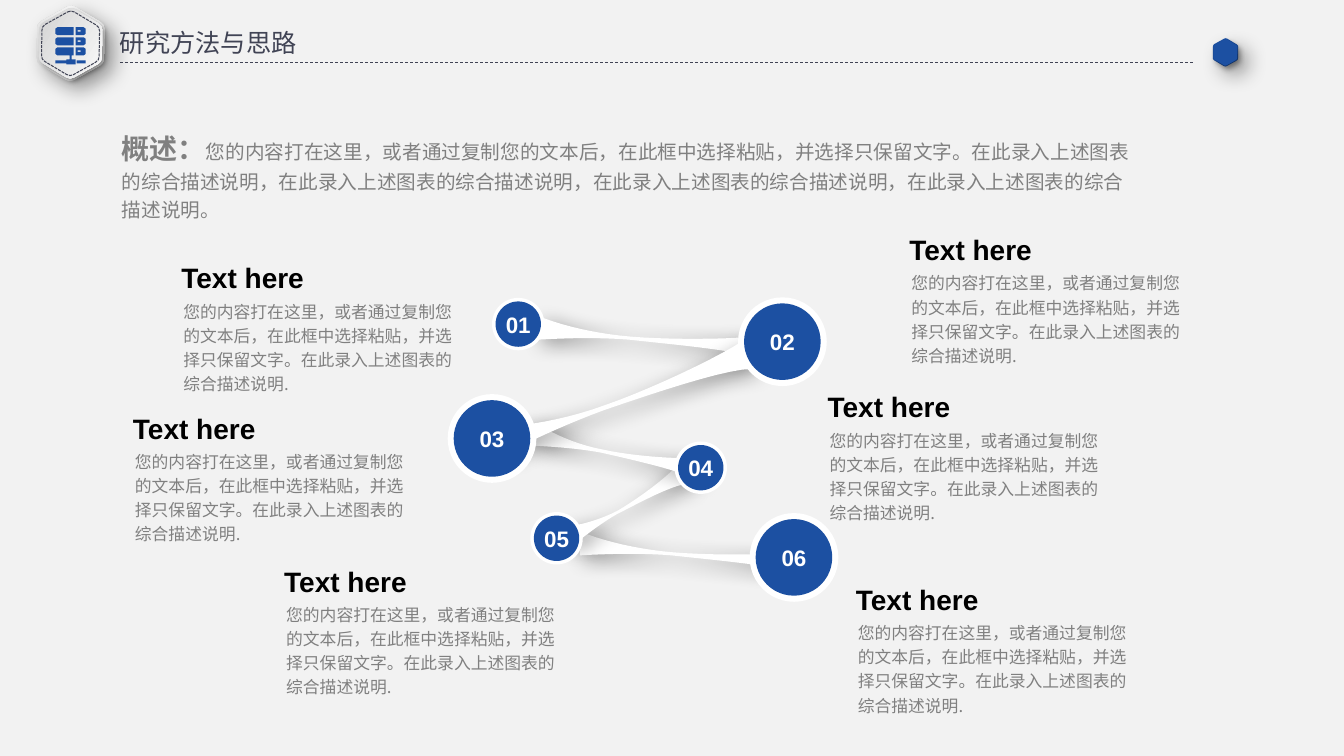
from math import cos, radians, sin

from lxml.etree import SubElement
from pptx import Presentation
from pptx.dml.color import RGBColor
from pptx.enum.dml import MSO_LINE
from pptx.enum.shapes import MSO_CONNECTOR, MSO_SHAPE
from pptx.enum.text import MSO_ANCHOR, MSO_AUTO_SIZE, PP_ALIGN
from pptx.oxml.ns import qn
from pptx.util import Inches, Pt


class Theme:
    background = RGBColor(0xF2, 0xF2, 0xF2)
    blue = RGBColor(0x1C, 0x50, 0xA2)
    white = RGBColor(0xFF, 0xFF, 0xFF)
    black = RGBColor(0, 0, 0)
    gray = RGBColor(0x80, 0x80, 0x80)
    slate = RGBColor(0x41, 0x44, 0x55)
    metal = RGBColor(0xD3, 0xD3, 0xD3), RGBColor(0xF9, 0xF9, 0xF9)
    latin, chinese = "Arial", "Noto Sans CJK SC"
    title, lead, heading, number, overview, body = (Pt(n) for n in (18, 20, 20, 16, 14, 12))


CELL = Inches(0.01)  # the slide is a grid of 1333 columns and 750 rows


def add_outline(contours, fill=None, shadow=None):
    """Draw closed contours given in grid cells; shadow is (blur, distance) in points."""
    builder = None
    for contour in contours:
        points = [(round(x * CELL), round(y * CELL)) for x, y in contour]
        if builder is None:
            builder = slide.shapes.build_freeform(*points[0])
        else:
            builder.move_to(*points[0])
        builder.add_line_segments(points[1:], close=True)
    shape = builder.convert_to_shape()
    shape.line.fill.background()
    if fill is None:
        shape.fill.background()
    else:
        shape.fill.solid()
        shape.fill.fore_color.rgb = fill
    shape.shadow.inherit = False
    if shadow:
        blur, distance = shadow
        effects = shape._element.spPr.find(qn("a:effectLst"))
        outer = SubElement(effects, qn("a:outerShdw"), blurRad=str(Pt(blur)), dist=str(Pt(distance)),
                           dir="2700000", algn="tl", rotWithShape="0")
        color = SubElement(outer, qn("a:srgbClr"), val="000000")
        SubElement(color, qn("a:alpha"), val="40000")
    return shape


def write_text(shape, runs, face, margins=(10, 5), spacing=None, align=PP_ALIGN.LEFT, anchor=MSO_ANCHOR.TOP):
    """Fill one paragraph with runs of (text, size, colour, bold)."""
    frame = shape.text_frame
    side, edge = (round(margin * CELL) for margin in margins)
    settings = {"word_wrap": True, "auto_size": MSO_AUTO_SIZE.NONE, "vertical_anchor": anchor,
                "margin_left": side, "margin_right": side, "margin_top": edge, "margin_bottom": edge}
    for name, value in settings.items():
        setattr(frame, name, value)
    paragraph = frame.paragraphs[0]
    paragraph.alignment = align
    if spacing:
        paragraph.line_spacing = spacing
    for text, size, color, bold in runs:
        run = paragraph.add_run()
        run.text = text
        for name, value in {"name": face, "size": size, "bold": bold}.items():
            setattr(run.font, name, value)
        run.font.color.rgb = color
        SubElement(run._r.get_or_add_rPr(), qn("a:ea"), typeface=face)


presentation = Presentation()
presentation.slide_width = Inches(13.33)
presentation.slide_height = Inches(7.5)
slide = presentation.slides.add_slide(presentation.slide_layouts[5])
slide.background.fill.solid()
slide.background.fill.fore_color.rgb = Theme.background

# Header
title = slide.shapes.title
title.left, title.top, title.width, title.height = (n * CELL for n in (112, 23, 205, 38))
write_text(title, [("研究方法与思路", Theme.title, Theme.slate, False)], Theme.chinese, margins=(7, 4))

rule = slide.shapes.add_connector(MSO_CONNECTOR.STRAIGHT, 119 * CELL, 62 * CELL, 1183 * CELL, 62 * CELL)
rule.line.color.rgb = Theme.slate
rule.line.width = Pt(0.5)
rule.line.dash_style = MSO_LINE.DASH
SubElement(rule._element.spPr, qn("a:effectLst"))

# Rounded hexagons: centre, radius, fill, gradient angle, shadow
BADGE, MARK = (70, 43), (1215.5, 52)
hexagons = [
    (BADGE, 38.5, Theme.metal[0], 59, (15, 9)),
    (BADGE, 36, Theme.metal[0], 329, (4, 3)),
    (BADGE, 33, None, None, None),
    (MARK, 14.5, Theme.blue, None, (15, 9)),
    (MARK, 13.5, Theme.blue, None, (4, 3)),
]
ROUNDING = 0.12
for (center_x, center_y), radius, fill, gradient_angle, shadow in hexagons:
    angles = [radians(0.9 - 90 + 60 * k) for k in range(6)]
    corners = [(center_x + radius * cos(a), center_y + radius * sin(a)) for a in angles]
    outline = []
    for k, corner in enumerate(corners):
        start, end = ([c + ROUNDING * (n - c) for c, n in zip(corner, neighbour)]
                      for neighbour in (corners[k - 1], corners[(k + 1) % 6]))
        middle = [(s + 2 * c + e) / 4 for s, c, e in zip(start, corner, end)]
        outline += [start, middle, end]
    hexagon = add_outline([outline], fill, shadow)
    if gradient_angle is not None:
        hexagon.fill.gradient()
        hexagon.fill.gradient_angle = gradient_angle
        for stop, color in zip(hexagon.fill.gradient_stops, Theme.metal):
            stop.color.rgb = color
    elif fill is None:
        hexagon.line.color.rgb = Theme.slate
        hexagon.line.width = Pt(0.75)
        hexagon.line.dash_style = MSO_LINE.SQUARE_DOT

# Server icon
server = []
for y in (27, 37, 47):
    server += [
        [(57, y), (73, y), (73, y + 8), (57, y + 8), (55, y + 6.5), (55, y + 1.5)],
        [(75, y), (83, y), (85, y + 1.5), (85, y + 6.5), (83, y + 8), (75, y + 8)],
        [(77, y + 3), (80, y + 3), (80, y + 4.5), (77, y + 4.5)],
    ]
server += [
    [(69, 55), (71, 55), (71, 59), (75, 59), (75, 64), (66, 64), (66, 63), (55, 63),
     (55, 60), (66, 60), (66, 59), (69, 59)],
    [(76, 60), (85, 60), (85, 63), (76, 63)],
]
add_outline(server, Theme.blue)

# Overview
overview = slide.shapes.add_textbox(*(n * CELL for n in (111, 119, 1023, 107)))
write_text(overview, [
    ("概述：", Theme.lead, Theme.gray, True),
    ("您的内容打在这里，或者通过复制您的文本后，在此框中选择粘贴，并选择只保留文字。"
     + "，".join(["在此录入上述图表的综合描述说明"] * 4) + "。", Theme.overview, Theme.gray, False),
], Theme.chinese, spacing=1.2)

# Ribbons: two edges, each of two joined cubic curves
level_ribbon = [
    [(577, 528), (600, 537), (632, 545), (668, 548), (705, 551), (769, 551), (794, 547)],
    [(792, 569), (771, 561), (702, 555), (666, 551), (630, 548), (594, 550), (575, 551)],
]
ribbons = [
    level_ribbon,
    [[(556, 523), (572, 522), (592, 517), (612, 507), (631, 496), (663, 473), (673, 460)],
     [(683, 480), (668, 480), (632, 500), (612, 510), (593, 521), (576, 535), (567, 542)]],
    [[(532, 420), (548, 430), (571, 441), (598, 446), (624, 452), (673, 456), (692, 454)],
     [(688, 475), (673, 466), (622, 455), (596, 449), (569, 444), (542, 443), (528, 442)]],
    [[(x - 42, y - 214) for x, y in edge] for edge in level_ribbon],
    [[(490, 424), (519, 423), (559, 417), (600, 402), (641, 388), (712, 355), (737, 338)],
     [(746, 366), (718, 366), (640, 393), (599, 407), (558, 422), (519, 441), (499, 451)]],
]
STEPS = 10
for ribbon in ribbons:
    outline = []
    for edge in ribbon:
        for first in (0, 3):
            for step in range(STEPS + 1):
                t = step / STEPS
                weights = ((1 - t) ** 3, 3 * t * (1 - t) ** 2, 3 * t * t * (1 - t), t ** 3)
                outline.append([sum(w * n for w, n in zip(weights, axis))
                                for axis in zip(*edge[first:first + 4])])
    add_outline([outline], Theme.white, (15, 5))

# Numbered discs: centre column, centre row, rim and disc diameters
SMALL, LARGE = (52, 45), (88, 76)
discs = [(514, 321.5, SMALL), (776, 339, LARGE), (488, 435, LARGE),
         (695, 464, SMALL), (552, 534, SMALL), (787.5, 553, LARGE)]
for number, (center_x, center_y, diameters) in enumerate(discs, 1):
    for diameter, color in zip(diameters, (Theme.white, Theme.blue)):
        disc = slide.shapes.add_shape(MSO_SHAPE.OVAL, *(
            round(n * CELL) for n in (center_x - diameter / 2, center_y - diameter / 2, diameter, diameter)))
        disc.fill.solid()
        disc.fill.fore_color.rgb = color
        disc.line.fill.background()
        disc.shadow.inherit = False
    write_text(disc, [(f"{number:02}", Theme.number, Theme.white, True)], Theme.latin,
               margins=(0, 0), align=PP_ALIGN.CENTER, anchor=MSO_ANCHOR.MIDDLE)

# Descriptions
description = "您的内容打在这里，或者通过复制您的文本后，在此框中选择粘贴，并选择只保留文字。在此录入上述图表的综合描述说明."
for left, top in [(172, 290), (124, 439), (274, 591), (841, 609), (813, 418), (894, 262)]:
    body = slide.shapes.add_textbox(left * CELL, top * CELL, 296 * CELL, 105 * CELL)
    write_text(body, [(description, Theme.body, Theme.gray, False)], Theme.chinese, spacing=1.2)
    heading = slide.shapes.add_textbox((left - 2) * CELL, (top - 37.5) * CELL // 1, 315 * CELL, 46 * CELL)
    heading.left, heading.top = (left - 2) * CELL, round((top - 37.5) * CELL)
    write_text(heading, [("Text here", Theme.heading, Theme.black, True)], Theme.latin,
               anchor=MSO_ANCHOR.MIDDLE)

presentation.save("out.pptx")
